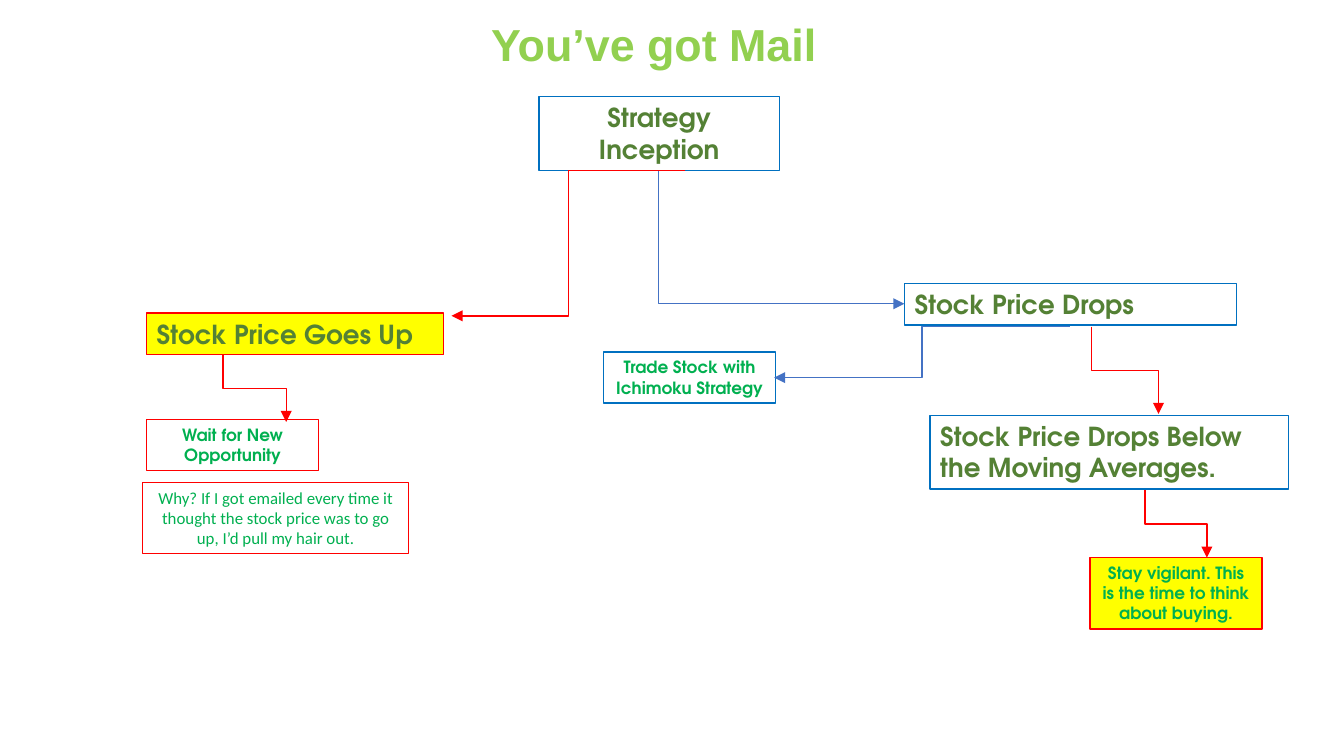
from dataclasses import dataclass
from typing import Optional

from lxml import etree
from pptx import Presentation
from pptx import util as u
from pptx.dml import color as c
from pptx.enum import shapes, text
from pptx.oxml import ns


@dataclass(frozen=True)
class TextStyle:
    font: str
    size: float
    color: str
    bold: bool = True
    centered: bool = True


@dataclass(frozen=True)
class Theme:
    red: str = "FF0000"
    blue: str = "0070C0"
    arrow_blue: str = "4472C4"
    yellow: str = "FFFF00"
    line_width: float = 0.75
    side_margin: int = u.Inches(0.3) // 4
    title: TextStyle = TextStyle("Arial", 24, "92D050")
    root: TextStyle = TextStyle("TeX Gyre Adventor", 14, "548135")
    event: TextStyle = TextStyle("TeX Gyre Adventor", 14, "548135", centered=False)
    action: TextStyle = TextStyle("TeX Gyre Adventor", 9, "00B050")
    remark: TextStyle = TextStyle("Calibri", 9, "00B050", bold=False)


THEME = Theme()


@dataclass(frozen=True)
class Step:
    words: str
    left: float
    top: float
    width: float
    height: float
    style: TextStyle
    outline: str
    fill: Optional[str] = None


@dataclass(frozen=True)
class Arrow:
    start: tuple[float, float]
    end: tuple[float, float]
    color: str
    downward: bool = True  # leaves its start vertically
    single_bend: bool = False


STEPS = [
    Step("Strategy Inception", 4.01, 0.72, 1.79, 0.55, THEME.root, THEME.blue),
    Step("Stock Price Goes Up", 1.09, 2.33, 2.21, 0.31, THEME.event, THEME.red, THEME.yellow),
    Step("Stock Price Drops", 6.73, 2.11, 2.47, 0.31, THEME.event, THEME.blue),
    Step("Stay vigilant. This is the time to think about buying.",
         8.11, 4.15, 1.28, 0.53, THEME.action, THEME.red, THEME.yellow),
    Step("Trade Stock with Ichimoku Strategy", 4.49, 2.62, 1.28, 0.38, THEME.action, THEME.blue),
    Step("Wait for New Opportunity", 1.09, 3.12, 1.28, 0.38, THEME.action, THEME.red),
    Step("Stock Price Drops Below the Moving Averages.",
         6.92, 3.09, 2.67, 0.55, THEME.event, THEME.blue),
    Step("Why? If I got emailed every time it thought the stock price was to go up, "
         "I’d pull my hair out.", 1.06, 3.59, 1.98, 0.53, THEME.remark, THEME.red),
]

ARROWS = [
    Arrow((5.1, 1.27), (3.36, 2.35), THEME.red, downward=False),
    Arrow((4.9, 1.27), (6.73, 2.26), THEME.arrow_blue, single_bend=True),
    Arrow((8.12, 2.43), (8.62, 3.08), THEME.red),
    Arrow((7.96, 2.43), (5.76, 2.81), THEME.arrow_blue, downward=False),
    Arrow((1.66, 2.64), (2.13, 3.14), THEME.red),
    Arrow((8.52, 3.65), (8.98, 4.15), THEME.red),
]


def write(box, words: str, style: TextStyle) -> None:
    frame = box.text_frame
    frame.word_wrap = True
    frame.vertical_anchor = text.MSO_ANCHOR.TOP
    frame.margin_left = frame.margin_right = THEME.side_margin
    frame.margin_top = frame.margin_bottom = THEME.side_margin // 2
    para = frame.paragraphs[0]
    para.text = words
    para.alignment = text.PP_ALIGN.CENTER if style.centered else text.PP_ALIGN.LEFT
    para.font.name = style.font
    para.font.size = u.Pt(style.size)
    para.font.bold = style.bold
    para.font.color.rgb = c.RGBColor.from_string(style.color)


def draw_line(line, color: str) -> None:
    line.color.rgb = c.RGBColor.from_string(color)
    line.width = u.Pt(THEME.line_width)


def draw_step(page, step: Step) -> None:
    box = page.shapes.add_shape(
        shapes.MSO_SHAPE.RECTANGLE, u.Inches(step.left), u.Inches(step.top),
        u.Inches(step.width), u.Inches(step.height))
    box.shadow.inherit = False
    if step.fill:
        box.fill.solid()
        box.fill.fore_color.rgb = c.RGBColor.from_string(step.fill)
    else:
        box.fill.background()
    draw_line(box.line, step.outline)
    write(box, step.words, step.style)
    box.text_frame.auto_size = text.MSO_AUTO_SIZE.SHAPE_TO_FIT_TEXT


def draw_arrow(page, arrow: Arrow) -> None:
    (x1, y1), (x2, y2) = arrow.start, arrow.end
    if arrow.downward:
        # A mirrored connector turned by 270 degrees about its centre starts downward
        mid_x, mid_y = (x1 + x2) / 2, (y1 + y2) / 2
        half_w, half_h = (y2 - y1) / 2, (x2 - x1) / 2
        x1, y1, x2, y2 = mid_x + half_w, mid_y - half_h, mid_x - half_w, mid_y + half_h
    connector = page.shapes.add_connector(
        shapes.MSO_CONNECTOR.ELBOW, u.Inches(x1), u.Inches(y1), u.Inches(x2), u.Inches(y2))
    draw_line(connector.line, arrow.color)
    properties = connector._element.spPr
    if arrow.downward:
        properties.find(ns.qn("a:xfrm")).set("rot", str(270 * 60000))
    if arrow.single_bend:
        properties.find(ns.qn("a:prstGeom")).set("prst", "bentConnector2")
    etree.SubElement(properties.find(ns.qn("a:ln")), ns.qn("a:tailEnd"), type="triangle")
    etree.SubElement(properties, ns.qn("a:effectLst"))


def main() -> None:
    # Widescreen page
    deck = Presentation()
    deck.slide_width = u.Inches(10)
    deck.slide_height = deck.slide_width * 9 // 16
    page = deck.slides.add_slide(deck.slide_layouts[6])

    # Title
    title = page.shapes.add_textbox(
        u.Inches(2.8), u.Inches(0.09), u.Inches(4.13), u.Inches(0.48))
    write(title, "You’ve got Mail", THEME.title)

    # Decision tree
    for step in STEPS:
        draw_step(page, step)
    for arrow in ARROWS:
        draw_arrow(page, arrow)

    deck.save("out.pptx")


if __name__ == "__main__":
    main()
